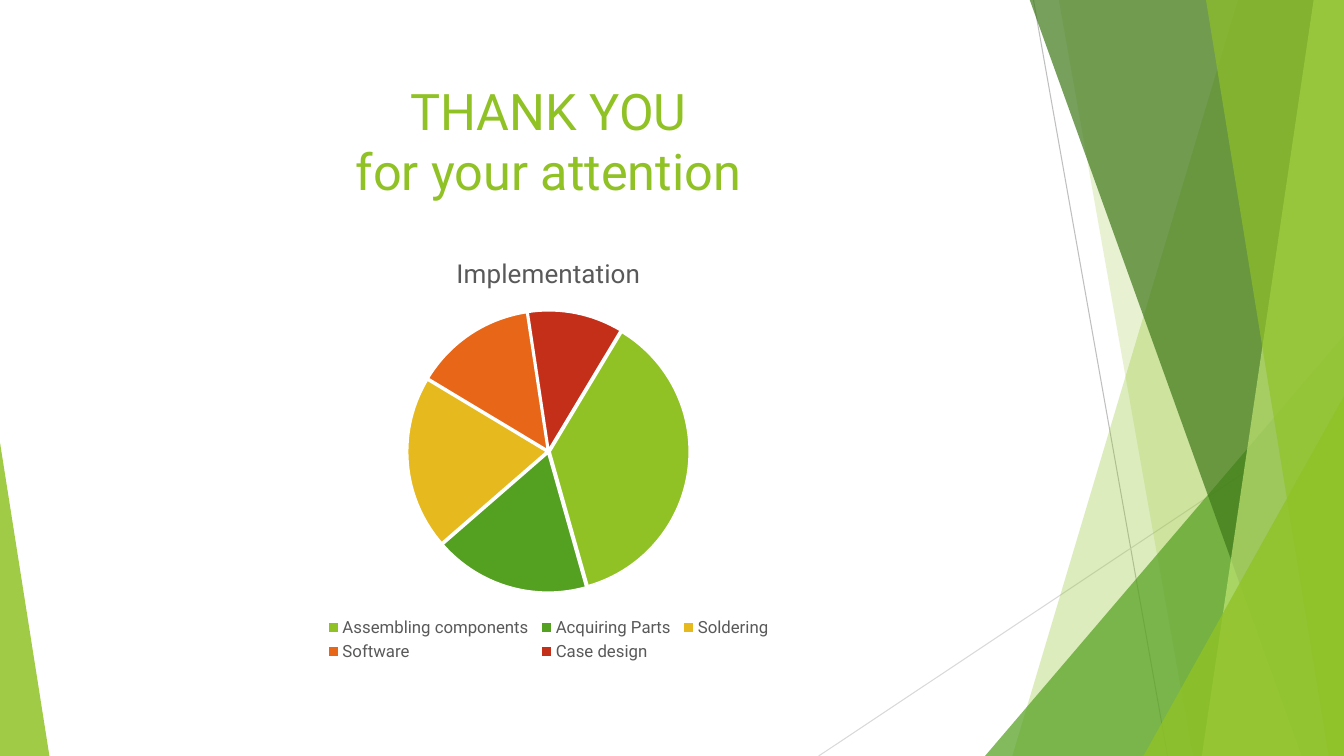
from dataclasses import dataclass

from pptx import Presentation
from pptx import util as u
from pptx.chart import data as cd
from pptx.dml import color as co
from pptx.enum import chart as ce
from pptx.enum import shapes as se
from pptx.enum import text as te
from pptx.oxml import ns, parse_xml

PX = 9144
WIDE, HIGH = 1333, 750


@dataclass(frozen=True)
class Theme:
    """Colours, font and type sizes of the slide."""
    font: str = "Roboto"
    lime: str = "90C226"
    leaf: str = "54A021"
    moss: str = "3F7819"
    pale: str = "C0E474"
    gold: str = "E6B91E"
    rust: str = "E76618"
    red: str = "C42F1A"
    white: str = "FFFFFF"
    grey: str = "595959"
    rule: str = "BFBFBF"
    faint: str = "D9D9D9"
    title: float = 36
    head: float = 18.6
    key: float = 12


T = Theme()


def px(*nums):
    """Turn px into EMU."""
    return [u.Emu(n * PX) for n in nums]


def rgb(code):
    """Turn a hex code into a colour."""
    return co.RGBColor.from_string(code)


def style(font, size, code):
    """Set face, size and colour of a font."""
    font.name, font.size, font.bold = T.font, u.Pt(size), False
    font.color.rgb = rgb(code)


def tint(shape, code, alpha):
    """Fill a shape with a see-through colour, without line or shadow."""
    shape.shadow.inherit = False
    shape.line.fill.background()
    shape.fill.solid()
    shape.fill.fore_color.rgb = rgb(code)
    clr = shape.element.spPr.find(".//" + ns.qn("a:srgbClr"))
    clr.append(parse_xml(f'<a:alpha {ns.nsdecls("a")} val="{alpha * 1000}"/>'))


def line(slide, ends, code):
    """Draw a thin straight line."""
    rule = slide.shapes.add_connector(se.MSO_CONNECTOR.STRAIGHT, *px(*ends))
    rule.line.color.rgb = rgb(code)
    rule.line.width = u.Pt(0.75)
    rule.element.spPr.append(parse_xml(f'<a:effectLst {ns.nsdecls("a")}/>'))


def band(slide, top, foot, code, alpha):
    """Draw a band from a slanted left edge to the right slide edge."""
    pen = slide.shapes.build_freeform(top, -1, scale=PX)
    pen.add_line_segments([(WIDE, -1), (WIDE, HIGH), (foot, HIGH)])
    tint(pen.convert_to_shape(), code, alpha)


def wedge(slide, left, top, wide, peak, code, alpha):
    """Draw a triangle that stands on the slide's foot."""
    kind = se.MSO_SHAPE.ISOSCELES_TRIANGLE
    shape = slide.shapes.add_shape(kind, *px(left, top, wide, HIGH - top))
    shape.adjustments[0] = peak
    tint(shape, code, alpha)


def title(slide, box, lines):
    """Write centred title lines."""
    frame = slide.shapes.add_textbox(*px(*box)).text_frame
    frame.word_wrap = True
    frame.vertical_anchor = te.MSO_ANCHOR.MIDDLE
    para = frame.paragraphs[0]
    para.alignment = te.PP_ALIGN.CENTER
    for i, words in enumerate(lines):
        if i:
            para.add_line_break()
        run = para.add_run()
        run.text = words
        style(run.font, T.title, T.lime)


def layout(box, inner=False):
    """Make a chart layout from fractions of the chart's size."""
    aim = '<c:layoutTarget val="inner"/>' if inner else ""
    modes = '<c:xMode val="edge"/><c:yMode val="edge"/>'
    vals = "".join(f'<c:{k} val="{v}"/>' for k, v in zip("xywh", box))
    return parse_xml(f'<c:layout {ns.nsdecls("c")}><c:manualLayout>'
                     f'{aim}{modes}{vals}</c:manualLayout></c:layout>')


def place(chart):
    """Fix the places of plot and legend."""
    root = chart.element if hasattr(chart, "element") else chart._chartSpace
    area = root.find(".//" + ns.qn("c:plotArea"))
    side = root.find(".//" + ns.qn("c:legendPos"))
    for part in (area, side.getparent()):
        for old in part.findall(ns.qn("c:layout")):
            part.remove(old)
    area.insert(0, layout((0.35, 0.17, 0.3, 0.66), True))
    side.addnext(layout((0.26, 0.88, 0.48, 0.12)))


def pie(slide, box, name, parts, start):
    """Add a pie chart with a title and a legend."""
    data = cd.CategoryChartData()
    data.categories = [part[0] for part in parts]
    data.add_series(name, [part[1] for part in parts])
    kind = ce.XL_CHART_TYPE.PIE
    chart = slide.shapes.add_chart(kind, *px(*box), data).chart
    style(chart.font, T.key, T.grey)
    chart.has_title = True
    run = chart.chart_title.text_frame.paragraphs[0].add_run()
    run.text = name
    style(run.font, T.head, T.grey)
    chart.has_legend = True
    chart.legend.position = ce.XL_LEGEND_POSITION.BOTTOM
    chart.legend.include_in_layout = False
    style(chart.legend.font, T.key, T.grey)
    plot = chart.plots[0]
    plot.vary_by_categories = True
    series = plot.series[0]
    for i, part in enumerate(parts):
        form = series.points[i].format
        form.fill.solid()
        form.fill.fore_color.rgb = rgb(part[2])
        form.line.color.rgb = rgb(T.white)
        form.line.width = u.Pt(1.5)
    tag = ns.nsdecls("c")
    ser = chart._chartSpace.find(".//" + ns.qn("c:ser"))
    ser.find(ns.qn("c:dPt")).addprevious(
        parse_xml(f'<c:explosion {tag} val="1"/>'))
    ring = ser.getparent()
    for old in ring.findall(ns.qn("c:firstSliceAng")):
        ring.remove(old)
    ring.append(parse_xml(f'<c:firstSliceAng {tag} val="{start}"/>'))
    place(chart)


def main():
    """Build the slide."""
    deck = Presentation()
    deck.slide_width, deck.slide_height = px(WIDE, HIGH)
    slide = deck.slides.add_slide(deck.slide_layouts[6])
    line(slide, (1025, 0, 1158, HIGH), T.rule)
    line(slide, (WIDE, 403, 812, HIGH), T.faint)
    band(slide, 1228, 1004, T.lime, 30)
    band(slide, 1050, 1183, T.lime, 20)
    wedge(slide, 977, 333, 356, 1, T.leaf, 72)
    band(slide, 1021, 1291, T.moss, 70)
    band(slide, 1303, 1192, T.pale, 70)
    band(slide, 1196, 1318, T.lime, 65)
    wedge(slide, 1134, 393, 199, 1, T.lime, 80)
    wedge(slide, 0, 439, 49, 0, T.lime, 85)
    title(slide, (74, 67, 940, 144), ("THANK YOU", "for your attention"))
    parts = (
        ("Assembling components", 37, T.lime),
        ("Acquiring Parts", 18, T.leaf),
        ("Soldering", 20, T.gold),
        ("Software", 14, T.rust),
        ("Case design", 11, T.red),
    )
    pie(slide, (74, 236, 940, 424), "Implementation", parts, 31)
    deck.save("out.pptx")


if __name__ == "__main__":
    main()
